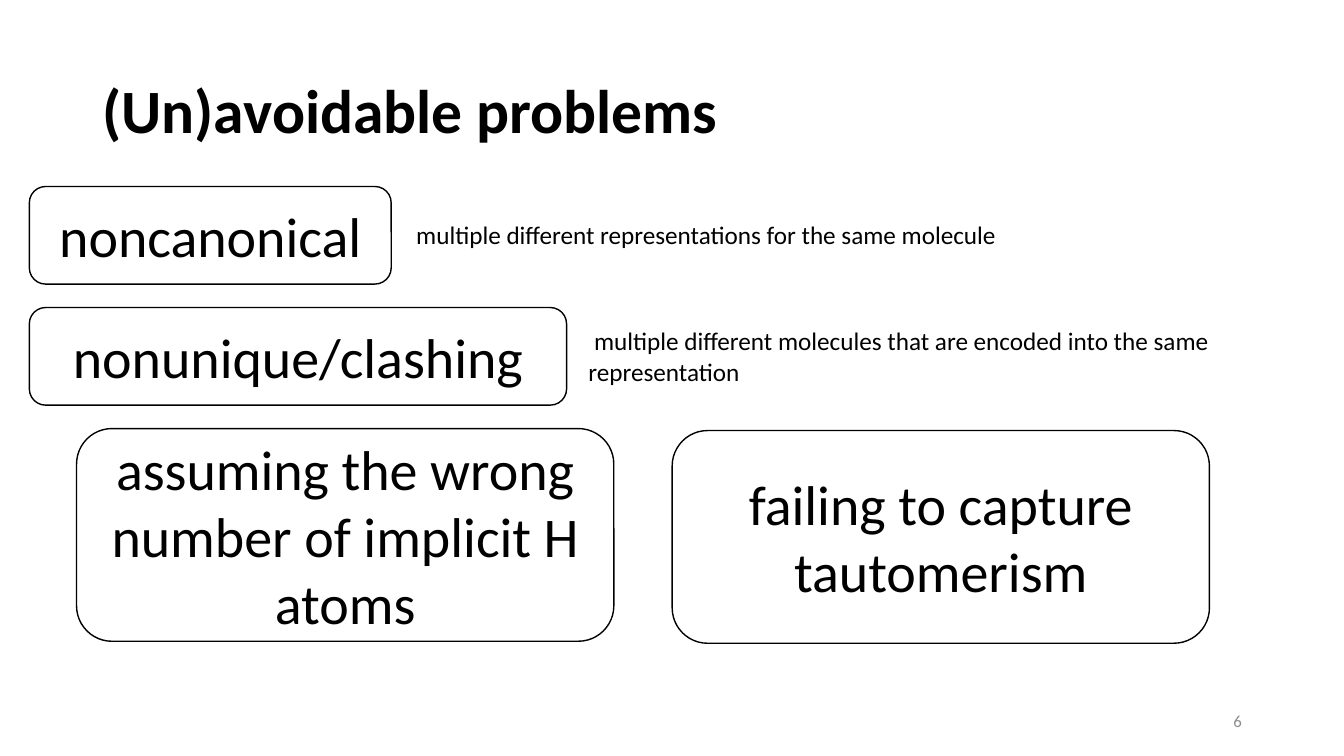
from pptx import Presentation
from pptx import util as u
from pptx.dml.color import RGBColor
from pptx.enum import shapes, text

BLACK = RGBColor(0x00, 0x00, 0x00)
WHITE = RGBColor(0xFF, 0xFF, 0xFF)
GREY = RGBColor(0x8C, 0x8C, 0x8C)
MIDDLE, TOP = text.MSO_ANCHOR.MIDDLE, text.MSO_ANCHOR.TOP
LEFT, CENTER, RIGHT = text.PP_ALIGN.LEFT, text.PP_ALIGN.CENTER, text.PP_ALIGN.RIGHT

PROBLEMS = [
    ("noncanonical", (0.74, 4.7, 9.12, 2.46)),
    ("nonunique/clashing", (0.74, 7.75, 13.54, 2.46)),
    ("assuming the wrong number of implicit H atoms", (1.93, 10.8, 13.54, 5.36)),
    ("failing to capture tautomerism", (16.94, 10.85, 13.54, 5.36)),
]
EXPLANATIONS = [
    ("multiple different representations for the same molecule", (10.24, 5.41, 15.6, 1.02)),
    (" multiple different molecules that are encoded into the same representation",
     (14.58, 8.08, 16.94, 1.8)),
]
TITLE = ("(Un)avoidable problems", (2.33, 1.02, 29.21, 3.68))
NUMBER = ("6", (23.93, 17.65, 7.62, 1.02))

TITLE_FONT = {"size": u.Pt(44), "bold": True}
PROBLEM_FONT = {"size": u.Pt(40)}
EXPLANATION_FONT = {"size": u.Pt(18)}
NUMBER_FONT = {"size": u.Pt(12)}


def write(sp, words, font, color=BLACK, align=LEFT, anchor=MIDDLE, spacing=1.0):
    tf = sp.text_frame
    tf.word_wrap = True
    tf.vertical_anchor = anchor
    p = tf.paragraphs[0]
    p.alignment = align
    p.line_spacing = spacing
    r = p.add_run()
    r.text = words
    for name, value in {"name": "Calibri", **font}.items():
        setattr(r.font, name, value)
    r.font.color.rgb = color


def add_label(s, item, font, **layout):
    words, box = item
    write(s.shapes.add_textbox(*map(u.Cm, box)), words, font, **layout)


def add_problem(s, words, box):
    sp = s.shapes.add_shape(shapes.MSO_SHAPE.ROUNDED_RECTANGLE, *map(u.Cm, box))
    sp.shadow.inherit = False
    sp.fill.solid()
    sp.fill.fore_color.rgb = WHITE
    sp.line.color.rgb = BLACK
    sp.line.width = u.Pt(1)
    write(sp, words, PROBLEM_FONT, align=CENTER)


def main():
    prs = Presentation()
    prs.slide_width, prs.slide_height = u.Cm(33.87), u.Cm(19.05)
    s = prs.slides.add_slide(prs.slide_layouts[6])
    add_label(s, TITLE, TITLE_FONT, spacing=0.9)
    for words, box in PROBLEMS:
        add_problem(s, words, box)
    for item in EXPLANATIONS:
        add_label(s, item, EXPLANATION_FONT, anchor=TOP)
    add_label(s, NUMBER, NUMBER_FONT, color=GREY, align=RIGHT)
    prs.save("out.pptx")


if __name__ == "__main__":
    main()
